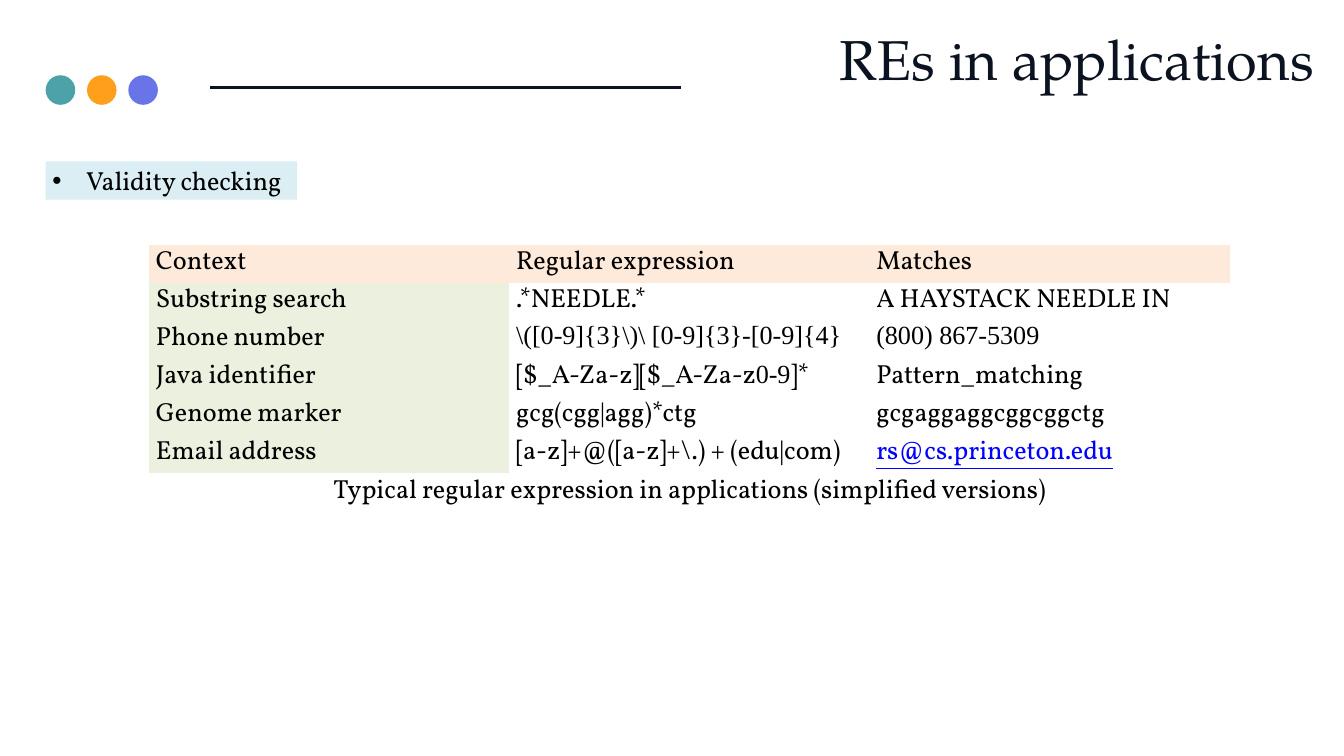
from dataclasses import dataclass

from lxml import etree
from pptx import Presentation
from pptx.dml.color import RGBColor
from pptx.enum.shapes import MSO_CONNECTOR, MSO_SHAPE
from pptx.enum.text import MSO_ANCHOR, MSO_AUTO_SIZE, PP_ALIGN
from pptx.oxml.ns import qn
from pptx.util import Inches, Pt

LEFT, CENTER, RIGHT = PP_ALIGN.LEFT, PP_ALIGN.CENTER, PP_ALIGN.RIGHT
TOP, MIDDLE = MSO_ANCHOR.TOP, MSO_ANCHOR.MIDDLE
FIXED = MSO_AUTO_SIZE.NONE
OVAL = MSO_SHAPE.OVAL
STRAIGHT = MSO_CONNECTOR.STRAIGHT
PLAIN_GRID = "{2D5ABB26-0587-4C30-8999-92F81FD0307C}"


@dataclass(frozen=True)
class Theme:
    ink: str = "0B1320"
    text: str = "000000"
    link: str = "0000FF"
    head: str = "FDEADA"
    side: str = "EBF1DE"
    label: str = "DBEEF4"
    title_font: str = "TeX Gyre Pagella"
    body_font: str = "Vollkorn"
    digit_font: str = "Times New Roman"
    title_size: int = 60
    body_size: int = 28


THEME = Theme()


@dataclass(frozen=True)
class Span:
    text: str
    font: str = THEME.body_font
    color: str = THEME.text
    line: bool = False


@dataclass(frozen=True)
class Dot:
    left: float
    color: str


DOTS = [Dot(0.68 + 0.615 * i, color)
        for i, color in enumerate(("4DA1A9", "FF9F1C", "6874E8"))]

ROWS = [
    ("Context", "Regular expression", "Matches"),
    ("Substring search", ".*NEEDLE.*", "A HAYSTACK NEEDLE IN"),
    ("Phone number",
     Span(r"\([0-9]{3}\)\ [0-9]{3}-[0-9]{4}", THEME.digit_font),
     Span("(800) 867-5309", THEME.digit_font)),
    ("Java identifier",
     (Span("[$_A-Za-z][$_A-Za-z"), Span("0-9", THEME.digit_font), Span("]*")),
     "Pattern_matching"),
    ("Genome marker", "gcg(cgg|agg)*ctg", "gcgaggaggcggcggctg"),
    ("Email address", r"[a-z]+@([a-z]+\.) + (edu|com)",
     Span("rs@cs.princeton.edu", color=THEME.link, line=True)),
]
CAPTION = "Typical regular expression in applications (simplified versions)"


def write(frame, text, *, size=THEME.body_size, align=LEFT, space=1.0):
    if isinstance(text, str):
        text = Span(text)
    spans = (text,) if isinstance(text, Span) else text
    para = frame.paragraphs[0]
    para.alignment = align
    para.line_spacing = space
    para.space_before = Pt(0)
    for span in spans:
        run = para.add_run()
        run.text = span.text
        font = run.font
        font.name = span.font
        font.size = Pt(size)
        font.color.rgb = RGBColor.from_string(span.color)
        if span.line:
            font.underline = True
    return para


def paint(item, color: str) -> None:
    item.fill.solid()
    item.fill.fore_color.rgb = RGBColor.from_string(color)


def place(shape, left: float, top: float, width: float, height: float) -> None:
    shape.left, shape.top = Inches(left), Inches(top)
    shape.width, shape.height = Inches(width), Inches(height)


def fit(frame, anchor, inset: float, wrap: bool) -> None:
    frame.auto_size = FIXED
    frame.word_wrap = wrap
    frame.vertical_anchor = anchor
    frame.margin_left = frame.margin_right = Inches(inset)
    frame.margin_top = frame.margin_bottom = 0


def add_bullet(para, indent: float) -> None:
    props = para._p.get_or_add_pPr()
    props.set("marL", str(Inches(indent)))
    props.set("indent", str(-Inches(indent)))
    color = etree.SubElement(props, qn("a:buClr"))
    etree.SubElement(color, qn("a:srgbClr"), val=THEME.text)
    etree.SubElement(props, qn("a:buFont"), typeface="Arial")
    etree.SubElement(props, qn("a:buChar"), char="•")


def draw_dot(slide, dot: Dot) -> None:
    shape = slide.shapes.add_shape(
        OVAL, Inches(dot.left), Inches(1.12), Inches(0.44), Inches(0.44))
    shape.shadow.inherit = False
    paint(shape, dot.color)
    shape.line.fill.background()


def draw_rule(slide) -> None:
    rule = slide.shapes.add_connector(
        STRAIGHT, Inches(3.13), Inches(1.3), Inches(10.14), Inches(1.3))
    rule.line.color.rgb = RGBColor.from_string(THEME.ink)
    rule.line.width = Pt(3)
    etree.SubElement(rule._element.spPr, qn("a:effectLst"))


def draw_table(slide) -> None:
    count = len(ROWS) + 1
    table = slide.shapes.add_table(
        count, 3, Inches(2.22), Inches(3.64),
        Inches(5.36 * 3), Inches(3.97)).table
    table._tbl.tblPr.find(qn("a:tableStyleId")).text = PLAIN_GRID
    table.first_row = table.horz_banding = False
    for cell in table.iter_cells():
        cell.margin_top = cell.margin_bottom = 0
        cell.fill.background()
    for i, row in enumerate(ROWS):
        for j, text in enumerate(row):
            cell = table.cell(i, j)
            write(cell.text_frame, text)
            if i == 0:
                paint(cell, THEME.head)
            elif j == 0:
                paint(cell, THEME.side)
    last = table.cell(count - 1, 0)
    last.merge(table.cell(count - 1, 2))
    write(last.text_frame, CAPTION, align=CENTER)


def main() -> None:
    deck = Presentation()
    deck.slide_width, deck.slide_height = Inches(20), Inches(11.25)
    slide = deck.slides.add_slide(deck.slide_layouts[1])

    title = slide.shapes.title
    place(title, 5.05, 0.17, 14.5, 1.21)
    fit(title.text_frame, TOP, 0, True)
    write(title.text_frame,
          Span("REs in applications", THEME.title_font, THEME.ink),
          size=THEME.title_size, align=RIGHT, space=1.2)

    draw_rule(slide)
    for dot in DOTS:
        draw_dot(slide, dot)
    draw_table(slide)

    label = slide.placeholders[1]
    place(label, 0.68, 2.4, 3.74, 0.57)
    paint(label, THEME.label)
    fit(label.text_frame, MIDDLE, 0.1, False)
    add_bullet(write(label.text_frame, "Validity checking"), 0.5)

    deck.save("out.pptx")


if __name__ == "__main__":
    main()
